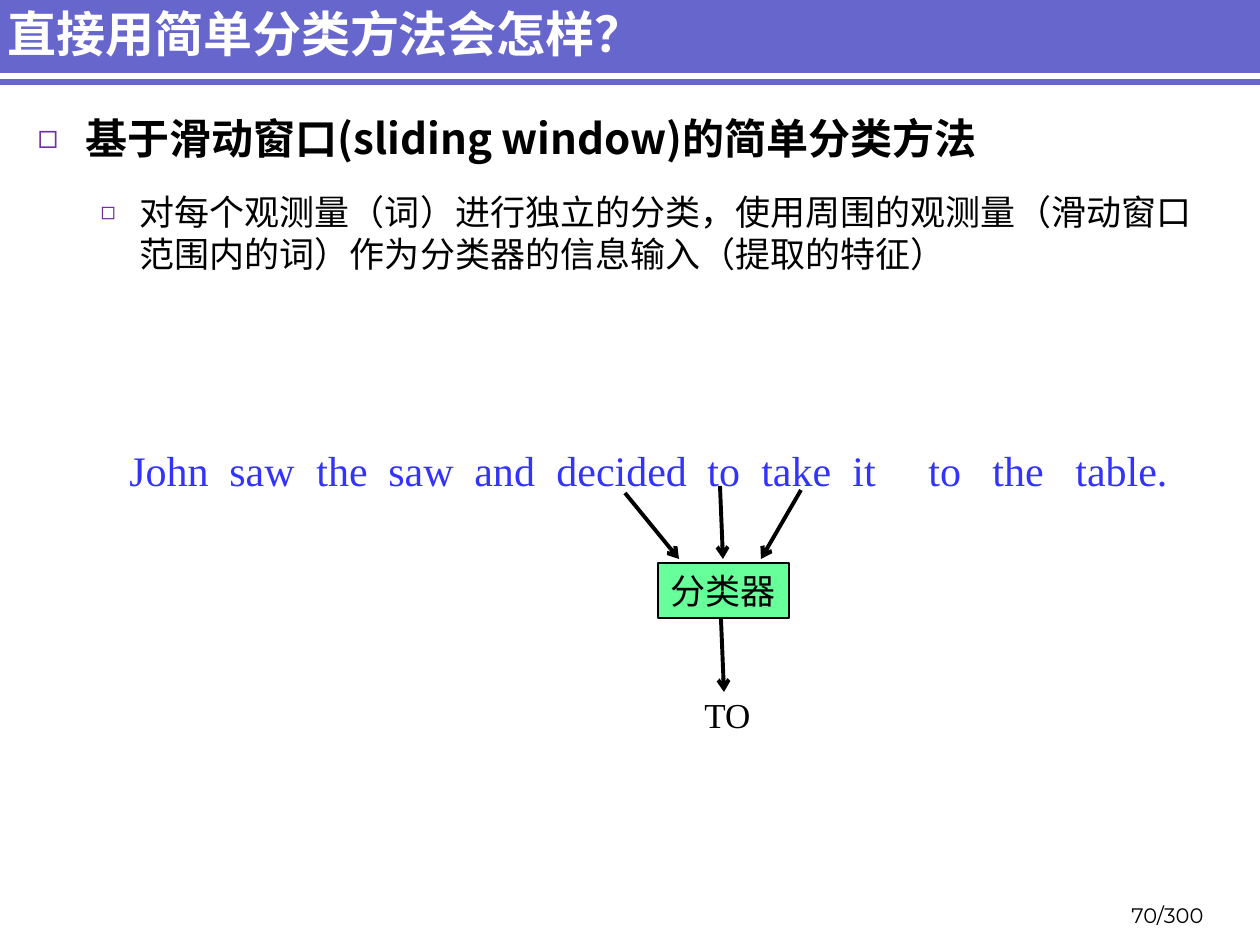
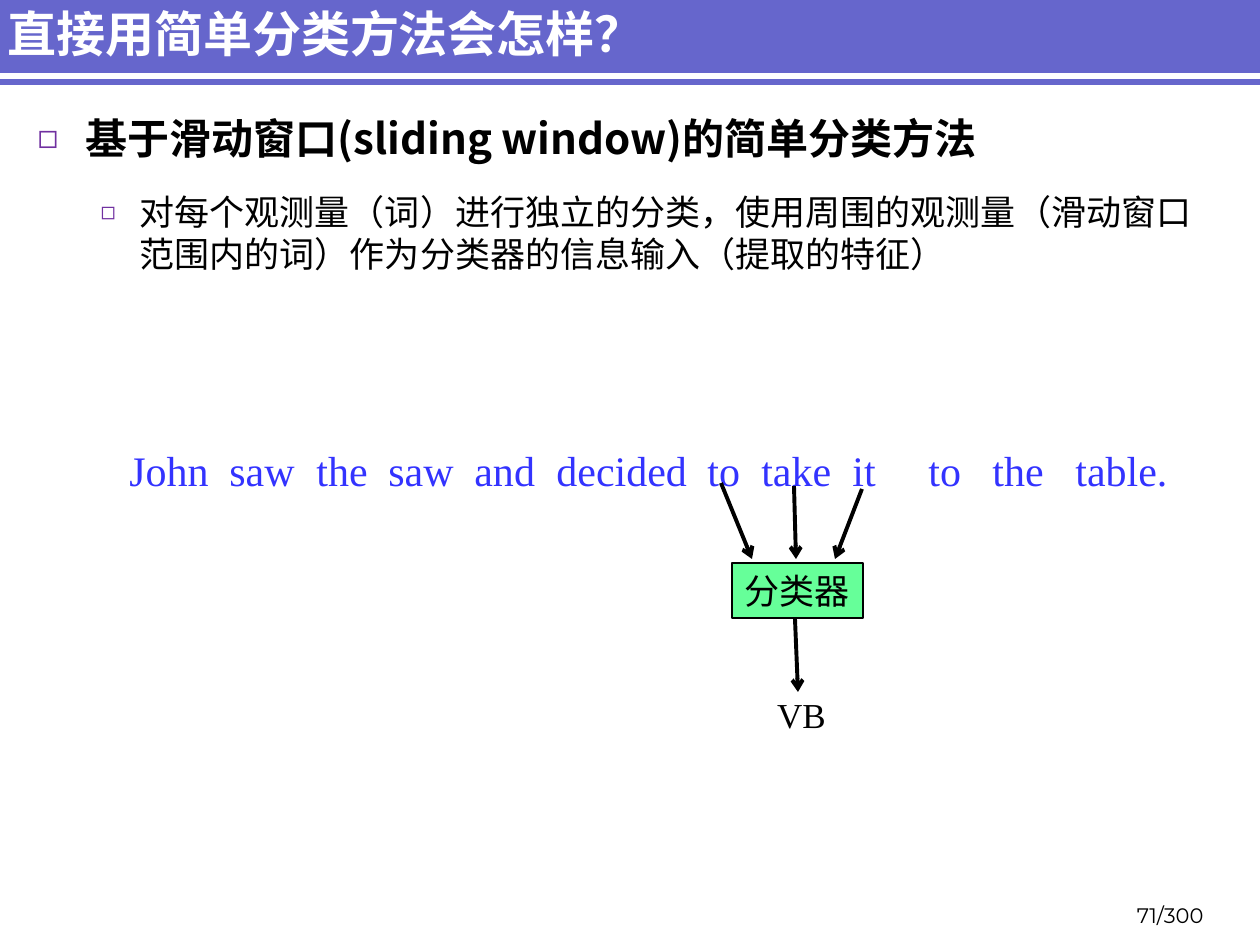
"""Build two slides that show a sliding-window classifier moving along a sentence."""
from lxml import etree
from pptx import Presentation
from pptx import util as u
from pptx.dml.color import RGBColor
from pptx.enum import shapes, text
from pptx.oxml import ns

SCALE = 914400 / 126
WIDTH, HEIGHT = 1260, 945

WHITE = RGBColor(0xFF, 0xFF, 0xFF)
BLACK = RGBColor(0x00, 0x00, 0x00)
INDIGO = RGBColor(0x66, 0x66, 0xCC)
PURPLE = RGBColor(0x70, 0x30, 0xA0)
BLUE = RGBColor(0x33, 0x33, 0xFF)
GREEN = RGBColor(0x66, 0xFF, 0x99)

CJK = "Noto Sans CJK SC"
SERIF = "Times New Roman"
SANS = "Montserrat"

LEFT, CENTER, RIGHT = text.PP_ALIGN.LEFT, text.PP_ALIGN.CENTER, text.PP_ALIGN.RIGHT
TOP, MIDDLE, BOTTOM = (text.MSO_ANCHOR.TOP, text.MSO_ANCHOR.MIDDLE,
                       text.MSO_ANCHOR.BOTTOM)

TITLE = "直接用简单分类方法会怎样？"
METHOD = "基于滑动窗口(sliding window)的简单分类方法"
DETAIL = ("对每个观测量（词）进行独立的分类，使用周围的观测量"
          "（滑动窗口范围内的词）作为分类器的信息输入（提取的特征）")
WORDS = "John saw the saw and decided to take it to the table.".split()
WORD_STOPS = [100, 187, 259, 345, 427, 578, 632, 723, 799, 863, 946]

WINDOWS = [
    {"number": "70/300", "tag": "TO", "left": 658,
     "inputs": [(625, 493, 679), (720, 486, 723), (801, 490, 761)]},
    {"number": "71/300", "tag": "VB", "left": 732,
     "inputs": [(721, 483, 752), (794, 486, 796), (862, 489, 835)]},
]


def emu(px):
    return u.Emu(round(px * SCALE))


def add_xml(parent, tag, **attributes):
    return etree.SubElement(parent, ns.qn(tag), attributes)


class SlideBuilder:
    def __init__(self):
        self.deck = Presentation()
        self.deck.slide_width, self.deck.slide_height = emu(WIDTH), emu(HEIGHT)
        self.page = None

    def new_page(self):
        self.page = self.deck.slides.add_slide(self.deck.slide_layouts[1])
        band = self.rectangle(-5, -4, 1265, 89, INDIGO)
        rule = self.line(-5, 76, WIDTH, 76, WHITE, 3)
        for depth, item in enumerate((band, rule), start=2):
            self.page.shapes.element.insert(depth, item.element)

    def place(self, box, left, top, width, height):
        box.left, box.top = emu(left), emu(top)
        box.width, box.height = emu(width), emu(height)

    def frame(self, box, anchor, wrap=True):
        frame = box.text_frame
        frame.auto_size = text.MSO_AUTO_SIZE.NONE
        frame.word_wrap = wrap
        frame.vertical_anchor = anchor
        return frame

    def style(self, para, size, font, color, bold=False, align=LEFT):
        para.alignment = align
        for span in para.runs:
            span.font.size = u.Pt(size)
            span.font.bold = bold
            span.font.color.rgb = color
            span.font.name = font
            add_xml(span.font._element, "a:ea", typeface=font)

    def title(self, words):
        box = self.page.shapes.title
        self.place(box, -5, 6, 1105, 54)
        frame = self.frame(box, MIDDLE)
        frame.text = words
        self.style(frame.paragraphs[0], 28, CJK, WHITE, bold=True)

    def bullet(self, para, margin, hang, percent):
        properties = para._p.get_or_add_pPr()
        properties.set("marL", str(emu(margin)))
        properties.set("indent", str(emu(-hang)))
        color = add_xml(properties, "a:buClr")
        add_xml(color, "a:srgbClr", val=str(PURPLE))
        add_xml(properties, "a:buSzPct", val=str(percent * 1000))
        add_xml(properties, "a:buChar", char="◻")

    def body(self, heading, detail):
        box = self.page.placeholders[1]
        self.place(box, 25, 106, 1191, 774)
        frame = self.frame(box, TOP)
        frame.text = heading
        first = frame.paragraphs[0]
        self.bullet(first, 48, 48, 80)
        first.space_before, first.space_after = u.Pt(0), u.Pt(12)
        self.style(first, 24, CJK, BLACK, bold=True)
        second = frame.add_paragraph()
        second.text = detail
        second.level = 1
        self.bullet(second, 102, 39, 70)
        second.space_before, second.space_after = u.Pt(4), u.Pt(6)
        self.style(second, 20, CJK, BLACK)

    def label(self, words, left, top, width, height, size, font, color=BLACK,
              align=LEFT, anchor=TOP, wrap=True, stops=()):
        box = self.page.shapes.add_textbox(*map(emu, (left, top, width, height)))
        frame = self.frame(box, anchor, wrap)
        frame.text = words
        para = frame.paragraphs[0]
        if stops:
            tabs = add_xml(para._p.get_or_add_pPr(), "a:tabLst")
            for stop in stops:
                add_xml(tabs, "a:tab", pos=str(emu(stop)), algn="l")
        self.style(para, size, font, color, align=align)

    def rectangle(self, left, top, width, height, fill, outline=None):
        box = self.page.shapes.add_shape(
            shapes.MSO_SHAPE.RECTANGLE, *map(emu, (left, top, width, height)))
        box.shadow.inherit = False
        box.fill.solid()
        box.fill.fore_color.rgb = fill
        if outline is None:
            box.line.fill.background()
        else:
            box.line.color.rgb = outline
            box.line.width = u.Pt(1)
        return box

    def classifier(self, left):
        box = self.rectangle(left, 563, 131, 55, GREEN, BLACK)
        frame = self.frame(box, MIDDLE, wrap=False)
        frame.text = "分类器"
        self.style(frame.paragraphs[0], 20, CJK, BLACK, align=CENTER)

    def line(self, x1, y1, x2, y2, color, points):
        connector = self.page.shapes.add_connector(
            shapes.MSO_CONNECTOR.STRAIGHT, *map(emu, (x1, y1, x2, y2)))
        connector.line.color.rgb = color
        connector.line.width = u.Pt(points)
        add_xml(connector.element.spPr, "a:effectLst")
        return connector

    def arrow(self, x1, y1, x2, y2):
        connector = self.line(x1, y1, x2, y2, BLACK, 2.25)
        add_xml(connector.line._get_or_add_ln(), "a:tailEnd", type="arrow")


def main():
    builder = SlideBuilder()
    for window in WINDOWS:
        left = window["left"]
        builder.new_page()
        builder.title(TITLE)
        builder.body(METHOD, DETAIL)
        builder.label("\t".join(WORDS), 117, 438, 1072, 64, 24, SERIF, BLUE,
                      stops=WORD_STOPS)
        builder.classifier(left)
        for word_x, word_y, box_x in window["inputs"]:
            builder.arrow(word_x, word_y, box_x, 559)
        builder.arrow(left + 63, 619, left + 66, 692)
        builder.label(window["tag"], left + 33, 687, 73, 54, 20, SERIF,
                      align=CENTER, wrap=False)
        builder.label(window["number"], 1085, 890, 131, 44, 12, SANS,
                      align=RIGHT, anchor=BOTTOM)
    builder.deck.save("out.pptx")


if __name__ == "__main__":
    main()
